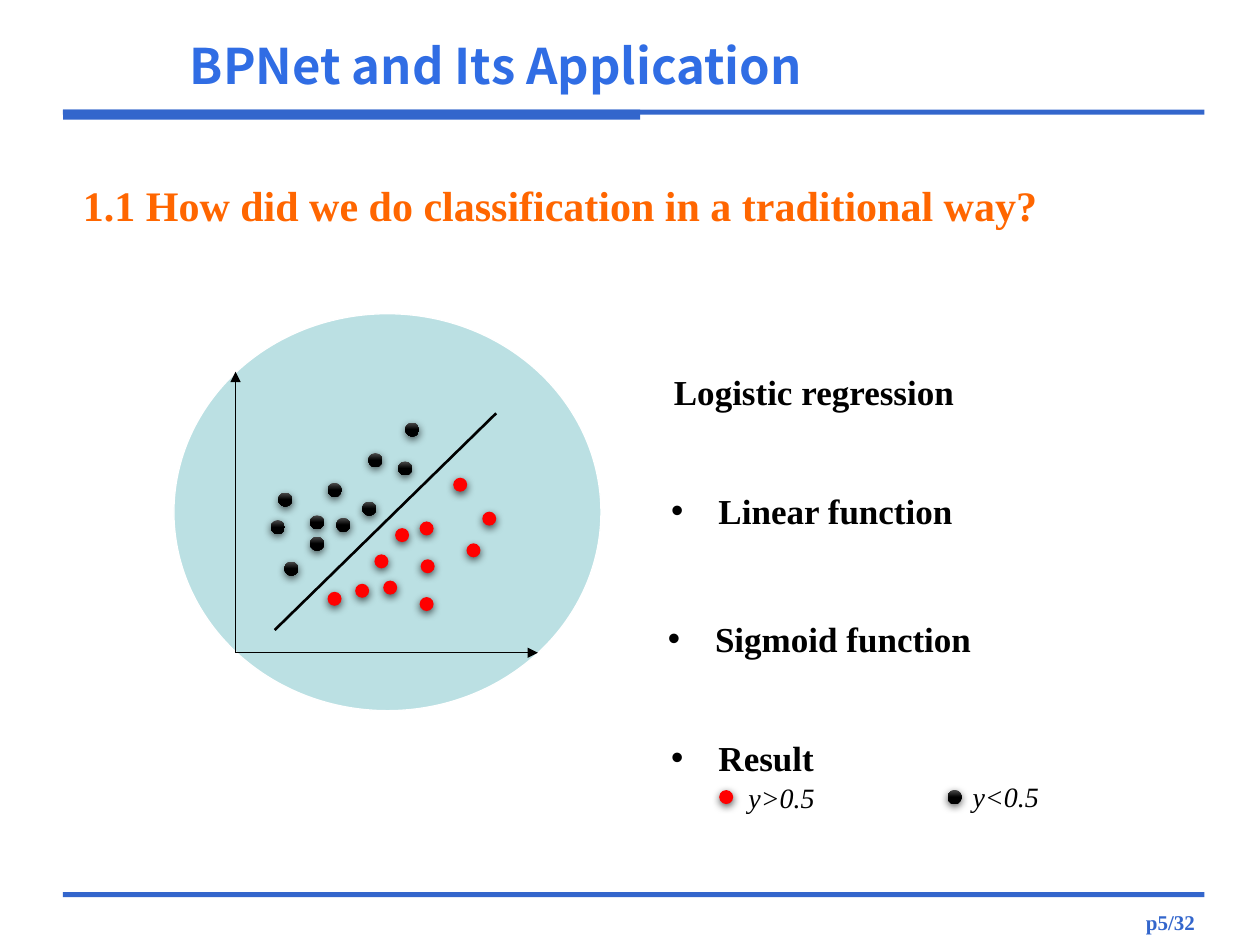
from lxml import etree
from pptx import Presentation
from pptx.dml.color import RGBColor
from pptx.enum.shapes import MSO_CONNECTOR, MSO_SHAPE
from pptx.enum.text import MSO_ANCHOR, PP_ALIGN
from pptx.oxml import parse_xml
from pptx.oxml.ns import nsdecls, qn
from pptx.util import Pt

RECT, OVAL = MSO_SHAPE.RECTANGLE, MSO_SHAPE.OVAL
STRAIGHT = MSO_CONNECTOR.STRAIGHT
TOP, MIDDLE = MSO_ANCHOR.TOP, MSO_ANCHOR.MIDDLE
LEFT, CENTER = PP_ALIGN.LEFT, PP_ALIGN.CENTER
SERIF, SANS = "Times New Roman", "Noto Sans CJK SC"
BLUE, RED, BLACK = "3366CC", "FF0000", "000000"
rgb = RGBColor.from_string

prs = Presentation()
prs.slide_width, prs.slide_height = Pt(720), Pt(540)
s = prs.slides.add_slide(prs.slide_layouts[6])


def add_filled(kind, x, y, w, h, color):
    sp = s.shapes.add_shape(kind, Pt(x), Pt(y), Pt(w), Pt(h))
    sp.shadow.inherit = False
    sp.fill.solid()
    sp.fill.fore_color.rgb = rgb(color)
    sp.line.fill.background()
    return sp


def add_text(text, x, y, w, h, size, color=BLACK, name=SERIF, bold=False, italic=False,
             align=LEFT, anchor=TOP, wrap=True, inset=None, bullet=False):
    tf = s.shapes.add_textbox(Pt(x), Pt(y), Pt(w), Pt(h)).text_frame
    tf.word_wrap, tf.vertical_anchor = wrap, anchor
    if inset is not None:
        for side in ("left", "right", "top", "bottom"):
            setattr(tf, f"margin_{side}", Pt(inset))
    p = tf.paragraphs[0]
    p.alignment = align
    if bullet:
        pPr = p._p.get_or_add_pPr()
        pPr.set("marL", str(Pt(27)))
        pPr.set("indent", str(-Pt(27)))
        etree.SubElement(pPr, qn("a:buFont")).set("typeface", "Arial")
        etree.SubElement(pPr, qn("a:buChar")).set("char", "•")
    r = p.add_run()
    r.text = text
    formats = {"size": Pt(size), "name": name, "bold": bold, "italic": italic}
    for key, value in formats.items():
        setattr(r.font, key, value)
    r.font.color.rgb = rgb(color)


for x, y, w, h in [(36, 509.76, 652.3, 2.9), (36, 62.64, 652.3, 2.9), (36, 62.64, 329.8, 5.8)]:
    add_filled(RECT, x, y, w, h, BLUE)

add_text("BPNet and Its Application", 70.5, 17.3, 425.5, 39.6, 28, "306DE4", SANS,
         bold=True, align=CENTER, anchor=MIDDLE, wrap=False)
add_text("1.1 How did we do classification in a traditional way?", 40.3, 94.3, 652.3, 45.4,
         24, "FF6600", bold=True, anchor=MIDDLE)
add_text("p5/32", 620.6, 514, 96.5, 26, 12, BLUE, bold=True, align=CENTER, anchor=MIDDLE)

plot = add_filled(OVAL, 99.4, 179.3, 244, 226.8, "BBE0E3")
plot.line.color.rgb = rgb("FFFFFF")
plot.line.width = Pt(0.75)

for x1, y1, x2, y2, width, arrow in [
    (134.6, 373, 307.4, 373, 0.75, True),
    (134.6, 373, 134.6, 212.4, 0.75, True),
    (157, 360, 283.5, 236.2, 1.5, False),
]:
    line = s.shapes.add_connector(STRAIGHT, Pt(x1), Pt(y1), Pt(x2), Pt(y2))
    line.line.color.rgb = rgb(BLACK)
    line.line.width = Pt(width)
    if arrow:
        etree.SubElement(line.line._get_or_add_ln(), qn("a:tailEnd")).set("type", "triangle")
    etree.SubElement(line._element.spPr, qn("a:effectLst"))

dots = {
    BLACK: [(210.5, 259), (187.2, 276), (154.8, 297.3), (159, 281.5), (177.2, 306.7),
            (177.2, 294.5), (162.5, 321), (231.6, 241.5), (207, 286.7), (227.5, 263.7),
            (192.2, 296), (541.5, 451.5)],
    RED: [(239.8, 298), (259, 273), (275.6, 292.4), (266.6, 310.5), (214, 316.8),
          (240.4, 319.6), (219, 331.8), (203, 333.6), (239.8, 341.2), (187.2, 338.2),
          (225.8, 301.8), (411, 451.5)],
}
for color, points in dots.items():
    for x, y in points:
        dot = add_filled(OVAL, x, y, 8, 8, color)
        if color == BLACK:
            dot.fill.gradient()
            dot.fill.gradient_angle = 270
            for stop, shade, position in zip(dot.fill.gradient_stops, ("4B4B4B", BLACK), (0, 0.5)):
                stop.color.rgb = rgb(shade)
                stop.position = position
        dot._element.spPr.find(qn("a:effectLst")).append(parse_xml(
            f'<a:outerShdw {nsdecls("a")} blurRad="{Pt(4.5)}" dist="{Pt(1.5)}" dir="5400000" '
            'rotWithShape="0"><a:srgbClr val="000000"><a:alpha val="63000"/></a:srgbClr></a:outerShdw>'))

for text, x, y, bullet in [
    ("Logistic regression", 378, 208, False),
    ("Linear function", 376.5, 276, True),
    ("Sigmoid function", 374.5, 349.5, True),
    ("Result", 376.5, 417.5, True),
]:
    add_text(text, x, y, 293, 31.5, 20, bold=True, bullet=bullet)

for text, x, y in [("y>0.5", 427.7, 446), ("y<0.5", 555.8, 445.5)]:
    add_text(text, x, y, 38, 19.4, 16, italic=True, wrap=False, inset=0)

prs.save("out.pptx")
